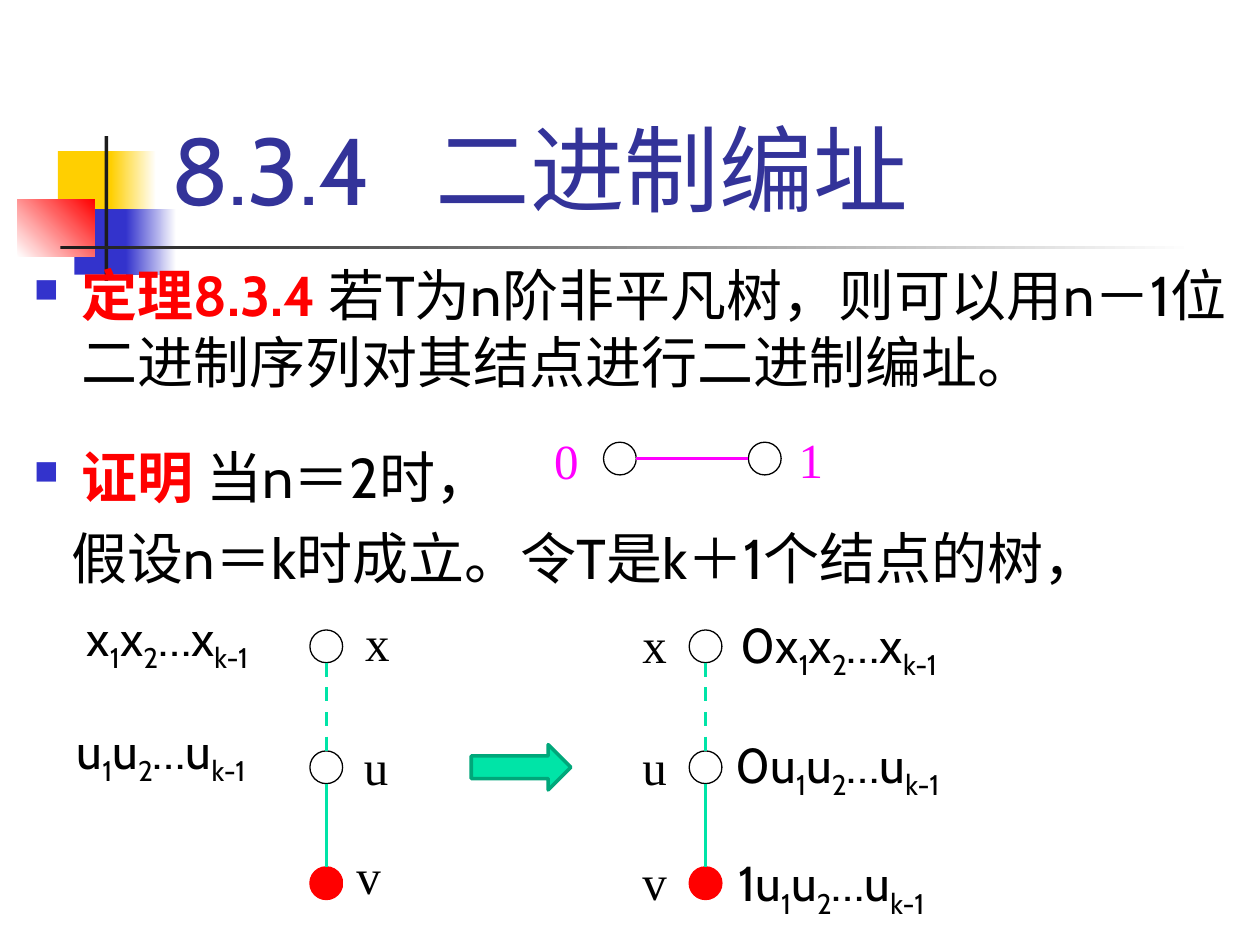
import pptx
import pptx.util
import pptx.dml.color
import pptx.enum.dml
import pptx.enum.shapes
import pptx.enum.text
import pptx.oxml
import pptx.oxml.ns

Inches = pptx.util.Inches
Pt = pptx.util.Pt
SHAPE = pptx.enum.shapes.MSO_SHAPE
ANCHOR = pptx.enum.text.MSO_ANCHOR
HUES = {
    "gold": "FFCF01", "blue": "3333CC", "red": "FF0000", "ink": "1C1C1C",
    "title": "333399", "black": "000000", "white": "FFFFFF",
    "mint": "00E4A7", "green": "00A77A", "pink": "FF00FF",
}
SANS, SERIF = "Cabin", "Times New Roman"
NODE = 0.26


def tint(name):
    """Return the named colour."""
    return pptx.dml.color.RGBColor.from_string(HUES[name])


def add_xml(node, text):
    """Append an element of the drawing namespace."""
    space = pptx.oxml.ns.nsdecls("a")
    head, tail = text.split(" ", 1)
    node.append(pptx.oxml.parse_xml(f"{head} {space} {tail}"))


def add_form(slide, box, fill, edge=None, width=0.75, kind=SHAPE.RECTANGLE):
    """Add a plain filled shape, with an outline if an edge is given."""
    form = slide.shapes.add_shape(kind, *map(Inches, box))
    form.shadow.inherit = False
    form.fill.solid()
    form.fill.fore_color.rgb = tint(fill)
    if edge:
        form.line.color.rgb = tint(edge)
        form.line.width = Pt(width)
    else:
        form.line.fill.background()
    return form


def add_fade(slide, box, first, last, angle=0):
    """Add a rectangle that fades from one colour to another."""
    form = add_form(slide, box, first)
    form.fill.gradient()
    form.fill.gradient_angle = angle
    for stop, name in zip(form.fill.gradient_stops, (first, last)):
        stop.color.rgb = tint(name)


def add_line(slide, start, end, hue, dash=False):
    """Add a straight line between two points."""
    kind = pptx.enum.shapes.MSO_CONNECTOR.STRAIGHT
    line = slide.shapes.add_connector(kind, *map(Inches, start + end))
    line.line.color.rgb = tint(hue)
    line.line.width = Pt(2)
    if dash:
        line.line.dash_style = pptx.enum.dml.MSO_LINE.DASH
    add_xml(line._element.spPr, "<a:effectLst />")


def add_run(para, text, size, hue, font=SANS, bold=False, sub=False):
    """Add one styled run to a paragraph."""
    run = para.add_run()
    run.text = text
    run.font.size = Pt(size)
    run.font.name = font
    run.font.bold = bold
    run.font.color.rgb = tint(hue)
    if sub:
        run._r.get_or_add_rPr().set("baseline", "-25000")


def add_node(slide, x, y, fill="white", edge="black"):
    """Add a round tree node centred on a point."""
    box = (x - NODE / 2, y - NODE / 2, NODE, NODE)
    add_form(slide, box, fill, edge, kind=SHAPE.OVAL)


def add_label(slide, box, parts, font=SANS, hue="black"):
    """Add a white label whose every second part is a subscript."""
    frame = add_form(slide, box, "white", "white").text_frame
    frame.word_wrap = True
    frame.vertical_anchor = ANCHOR.TOP
    para = frame.paragraphs[0]
    para.alignment = pptx.enum.text.PP_ALIGN.LEFT
    for i, part in enumerate(parts):
        add_run(para, part, 28, hue, font, sub=i % 2 == 1)


def add_name(slide, x, y, text, hue="black"):
    """Add a one-letter label at a corner point."""
    add_label(slide, (x, y, 0.46, 0.63), [text], SERIF, hue)


def add_code(slide, box, lead, var):
    """Add a binary address such as 0x1x2...xk-1."""
    add_label(slide, box, [lead + var, "1", var, "2", "…" + var, "k-1"])


def add_decor(slide, x, y):
    """Draw the coloured blocks and rules beside the title."""
    add_form(slide, (x + 0.32, y + 0.12, 0.48, 0.52), "gold")
    add_fade(slide, (x + 0.74, y + 0.12, 0.36, 0.52), "gold", "white")
    add_form(slide, (x + 0.45, y + 0.58, 0.46, 0.52), "blue")
    add_fade(slide, (x + 0.86, y + 0.58, 0.4, 0.52), "blue", "white")
    add_fade(slide, (x, y + 0.5, 0.61, 0.46), "white", "red", 45)
    add_form(slide, (x + 0.69, y, 0.03, 1.15), "ink")
    add_fade(slide, (x + 0.34, y + 0.87, 9, 0.03), "ink", "white")


def add_title(slide, box):
    """Write the heading, with a tab after its number."""
    frame = slide.shapes.add_textbox(*map(Inches, box)).text_frame
    frame.word_wrap = True
    frame.vertical_anchor = ANCHOR.BOTTOM
    para = frame.paragraphs[0]
    stop = f'<a:tab pos="{Inches(2.1)}" algn="l"/>'
    add_xml(para._p.get_or_add_pPr(), f"<a:tabLst >{stop}</a:tabLst>")
    add_run(para, "8.3.4\t二进制编址", 54, "title")


def add_body(slide, box):
    """Write the theorem and the proof."""
    frame = slide.shapes.add_textbox(*map(Inches, box)).text_frame
    frame.word_wrap = True
    rows = [
        ("定理8.3.4 ", "若T为n阶非平凡树，则可以用n－1位二进制序列对其结点进行二进制编址。", 1),
        ("证明 ", "当n＝2时，", 1.5),
        ("", "假设n＝k时成立。令T是k＋1个结点的树，", 1),
    ]
    for i, (head, text, space) in enumerate(rows):
        para = frame.paragraphs[0] if i == 0 else frame.add_paragraph()
        para.line_spacing = space
        para.space_before = Pt(8 if i else 0)
        props = para._p.get_or_add_pPr()
        props.set("marL", str(Inches(0.38 if head else 0.3)))
        props.set("indent", str(Inches(-0.38 if head else 0)))
        if head:
            hue = f'<a:srgbClr val="{HUES["blue"]}"/>'
            add_xml(props, f"<a:buClr >{hue}</a:buClr>")
            add_xml(props, '<a:buSzPct val="60000"/>')
            add_xml(props, '<a:buChar char="■"/>')
            add_run(para, head, 32, "red", bold=True)
        add_run(para, text, 32, "black")


def add_pair(slide, x, y):
    """Draw the two-node tree with its addresses."""
    far = x + 1.15
    add_node(slide, far, y)
    add_node(slide, x, y)
    add_name(slide, x - 0.62, y - 0.27, "0", "pink")
    add_name(slide, far + 0.17, y - 0.28, "1", "pink")
    add_line(slide, (x + NODE / 2, y), (far - NODE / 2, y), "pink")


def add_tree(slide, x, y):
    """Draw a chain of three nodes, the last one a red leaf."""
    half = NODE / 2
    mid, leaf = y + 0.96, y + 1.88
    add_node(slide, x, y)
    add_node(slide, x, mid)
    add_node(slide, x, leaf, "red", "red")
    add_line(slide, (x, y + half), (x, mid - half), "mint", True)
    add_line(slide, (x, mid + half), (x, leaf - half), "mint")


def add_step(slide, x, y):
    """Draw the trees before and after the induction step."""
    right = x + 3.01
    add_tree(slide, x, y)
    add_tree(slide, right, y)
    add_code(slide, (x - 2, y - 0.36, 1.78, 0.76), "", "x")
    add_code(slide, (x - 2.08, y + 0.54, 1.88, 0.76), "", "u")
    add_code(slide, (right + 0.16, y + 1.59, 2.31, 0.76), "1", "u")
    add_code(slide, (right + 0.14, y + 0.65, 2.17, 0.76), "0", "u")
    add_code(slide, (right + 0.18, y - 0.3, 2.13, 0.76), "0", "x")
    names = [("v", 0.14, 1.53, 1.58), ("u", 0.2, 0.67, 0.67), ("x", 0.21, -0.32, -0.3)]
    for text, gap, near, far in names:
        add_name(slide, x + gap, y + near, text)
        add_name(slide, right - 0.6, y + far, text)
    box = (x + 1.15, y + 0.78, 0.79, 0.36)
    add_form(slide, box, "mint", "green", 2, SHAPE.RIGHT_ARROW)


def main():
    """Build the slide and save it."""
    deck = pptx.Presentation()
    deck.slide_width, deck.slide_height = Inches(10), Inches(7.5)
    slide = deck.slides.add_slide(deck.slide_layouts[6])
    add_decor(slide, 0.14, 1.08)
    add_title(slide, (1.26, 0.23, 8.52, 1.6))
    add_body(slide, (0.17, 2.02, 9.8, 5.48))
    add_pair(slide, 4.92, 3.64)
    add_step(slide, 2.59, 5.13)
    deck.save("out.pptx")


if __name__ == "__main__":
    main()
